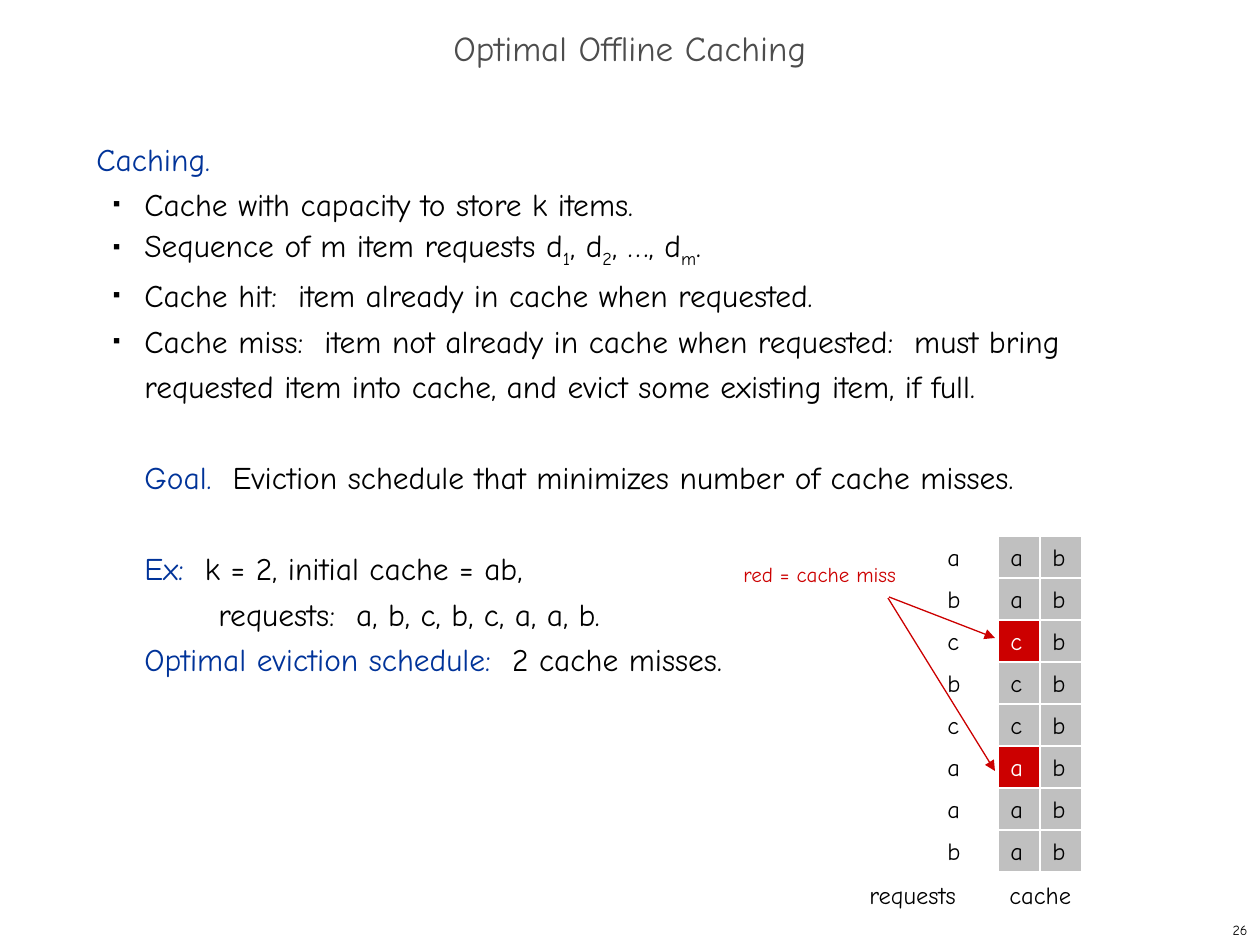
from lxml import etree
from pptx import Presentation
from pptx.dml.color import RGBColor
from pptx.enum import shapes, text
from pptx.oxml.ns import qn
from pptx import util as u

PX = 914400 / 126
FONT = "Comic Neue"
COLORS = {
    "black": "000000", "white": "FFFFFF", "title": "4D4D4D",
    "blue": "003399", "red": "CC0000", "gray": "C0C0C0",
}
CELL = 42
REQUESTS = "abcbcaab"
CACHE_ROWS = ["ab", "ab", "cb", "cb", "cb", "ab", "ab", "ab"]
MISSES = {2, 5}


def px(value):
    return u.Emu(round(value * PX))


def color(name):
    return RGBColor.from_string(COLORS[name])


def style(span, size, name):
    span.font.name = FONT
    span.font.size = u.Pt(size)
    span.font.color.rgb = color(name)


def add_span(para, words, name="black", subscript=False):
    span = para.add_run()
    span.text = words
    style(span, 18, name)
    if subscript:
        span.font._element.set("baseline", "-25000")


def indent(para, left, hanging=0):
    props = para._p.get_or_add_pPr()
    props.set("marL", str(px(left)))
    props.set("indent", str(-px(hanging)))
    return props


def add_bullet(para):
    props = indent(para, 48, 31)
    bullet_color = etree.SubElement(props, qn("a:buClr"))
    etree.SubElement(bullet_color, qn("a:srgbClr"), val=COLORS["black"])
    etree.SubElement(props, qn("a:buSzPct"), val="35000")
    etree.SubElement(props, qn("a:buFont"), typeface="Arial")
    etree.SubElement(props, qn("a:buChar"), char="■")


def add_label(page, words, left, top, width, height, size=14, name="black"):
    box = page.shapes.add_textbox(px(left), px(top), px(width), px(height))
    box.text_frame.word_wrap = False
    box.text_frame.text = words
    para = box.text_frame.paragraphs[0]
    style(para.runs[0], size, name)
    return box


def draw_title(page, left, top, width, height):
    title = page.shapes.title
    title.left, title.top, title.width, title.height = map(px, (left, top, width, height))
    frame = title.text_frame
    frame.text = "Optimal Offline Caching"
    frame.auto_size = text.MSO_AUTO_SIZE.NONE
    frame.vertical_anchor = text.MSO_ANCHOR.MIDDLE
    para = frame.paragraphs[0]
    para.alignment = text.PP_ALIGN.CENTER
    para.line_spacing = 0.7
    style(para.runs[0], 20, "title")


def draw_body(page, left, top, width, height):
    box = page.shapes.add_textbox(px(left), px(top), px(width), px(height))
    frame = box.text_frame
    frame.word_wrap = True

    def add_para():
        para = frame.add_paragraph()
        para.line_spacing = u.Pt(26)
        return para

    # Heading
    heading = frame.paragraphs[0]
    heading.line_spacing = u.Pt(26)
    add_span(heading, "Caching.", "blue")

    # Bullets: odd pieces of each list are subscripts
    bullets = [
        ["Cache with capacity to store k items."],
        ["Sequence of m item requests d", "1", ", d", "2", ", …, d", "m", "."],
        ["Cache hit:  item already in cache when requested."],
        ["Cache miss:  item not already in cache when requested:  must bring "
         "requested item into cache, and evict some existing item, if full."],
    ]
    for pieces in bullets:
        para = add_para()
        add_bullet(para)
        for index, words in enumerate(pieces):
            add_span(para, words, subscript=index % 2 == 1)

    # Goal and example: lead, words, indent, space before
    statements = [
        ("Goal.  ", "Eviction schedule that minimizes number of cache misses.", 48, 26),
        ("Ex:  ", "k = 2, initial cache = ab,", 48, 26),
        ("", "requests:  a, b, c, b, c, a, a, b.", 122, 0),
        ("Optimal eviction schedule:  ", "2 cache misses.", 48, 0),
    ]
    for lead, words, margin, gap in statements:
        para = add_para()
        indent(para, margin)
        para.space_before = u.Pt(gap)
        if lead:
            add_span(para, lead, "blue")
        add_span(para, words)


def draw_cell(page, letter, left, top, fill=None, name="black"):
    cell = page.shapes.add_shape(
        shapes.MSO_SHAPE.RECTANGLE, px(left), px(top), px(CELL), px(CELL))
    cell.shadow.inherit = False
    if fill:
        cell.fill.solid()
        cell.fill.fore_color.rgb = color(fill)
    else:
        cell.fill.background()
    cell.line.color.rgb = color("white")
    cell.line.width = u.Pt(0.75)
    frame = cell.text_frame
    frame.word_wrap = False
    frame.vertical_anchor = text.MSO_ANCHOR.MIDDLE
    frame.text = letter
    para = frame.paragraphs[0]
    para.alignment = text.PP_ALIGN.LEFT
    style(para.runs[0], 14, name)


def draw_arrow(page, x1, y1, x2, y2):
    arrow = page.shapes.add_connector(
        shapes.MSO_CONNECTOR.STRAIGHT, px(x1), px(y1), px(x2), px(y2))
    arrow.line.color.rgb = color("red")
    arrow.line.width = u.Pt(0.75)
    etree.SubElement(arrow.line._get_or_add_ln(), qn("a:tailEnd"), type="triangle")
    etree.SubElement(arrow._element.spPr, qn("a:effectLst"))


def draw_schedule(page, left, top):
    cache_left = left + 267
    # Request column and cache grid
    for row, (request, items) in enumerate(zip(REQUESTS, CACHE_ROWS)):
        row_top = top + row * CELL
        draw_cell(page, request, left + 204, row_top)
        for column, item in enumerate(items):
            missed = row in MISSES and column == 0
            fill, name = ("red", "white") if missed else ("gray", "black")
            draw_cell(page, item, cache_left + column * CELL, row_top, fill, name)

    # Column captions and legend
    add_label(page, "cache", left + 266, top + 338, 87, 42)
    add_label(page, "requests", left + 126, top + 338, 112, 42)
    add_label(page, "red = cache miss", left, top + 19, 179, 38, 12, "red")

    # Arrows to the misses
    draw_arrow(page, left + 158, top + 61, left + 264, top + 102)
    draw_arrow(page, left + 157, top + 62, left + 264, top + 235)


def draw_page_number(page, left, top, width, height):
    box = add_label(page, "26", left, top, width, height, 8)
    box.text_frame.word_wrap = True
    box.text_frame.vertical_anchor = text.MSO_ANCHOR.MIDDLE
    box.text_frame.paragraphs[0].alignment = text.PP_ALIGN.RIGHT


def main():
    deck = Presentation()
    deck.slide_width, deck.slide_height = px(1260), px(945)
    page = deck.slides.add_slide(deck.slide_layouts[5])
    draw_title(page, 0, 21, 1260, 63)
    draw_body(page, 84, 126, 1081, 746)
    draw_schedule(page, 731, 536)
    draw_page_number(page, 998, 914, 262, 31)
    deck.save("out.pptx")


if __name__ == "__main__":
    main()
